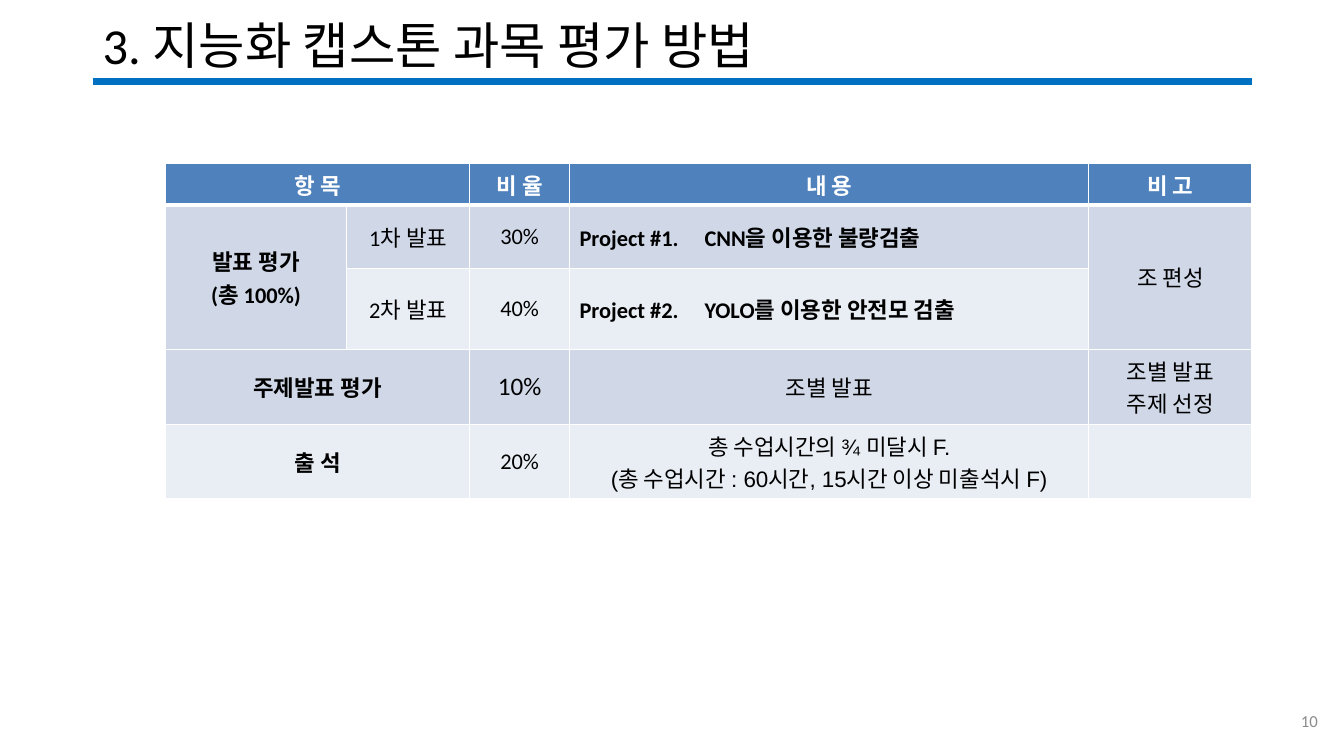
from dataclasses import dataclass

from lxml import etree
from pptx import Presentation
from pptx.dml.color import RGBColor
from pptx.enum import shapes, text
from pptx.oxml import ns
from pptx.util import Emu, Inches, Pt


@dataclass(frozen=True)
class Theme:
    """Colours, fonts and type sizes of the slide."""

    rule: str = "0070C0"
    header: str = "4F81BD"
    dark_band: str = "D0D8E8"
    light_band: str = "E9EDF4"
    white: str = "FFFFFF"
    ink: str = "000000"
    muted: str = "8C8C8C"
    font: str = "Calibri"
    note_font: str = "Arial"
    title_size: int = 36
    body_size: int = 16
    large_size: int = 18
    number_size: int = 12


THEME = Theme()
WIDTH, HEIGHT = Inches(13.33), Inches(7.5)
COLUMNS = (13.5, 9.15, 7.43, 38.63, 12.15)
ROWS = (5.47, 8.4, 10.8, 9.87, 9.87)
BANDS = (THEME.header, THEME.dark_band, THEME.light_band, THEME.dark_band, THEME.light_band)
CONTENT = (
    ("항 목", "", "비 율", "내 용", "비 고"),
    ("발표 평가\n(총 100%)", "1차 발표", "30%", "Project #1.\tCNN을 이용한 불량검출", "조 편성"),
    ("", "2차 발표", "40%", "Project #2.\tYOLO를 이용한 안전모 검출", ""),
    ("주제발표 평가", "", "10%", "조별 발표", "조별 발표\n주제 선정"),
    ("출 석", "", "20%", "총 수업시간의 ¾ 미달시 F.\n(총 수업시간 : 60시간, 15시간 이상 미출석시 F)", ""),
)
MERGES = (((0, 0), (0, 1)), ((1, 0), (2, 0)), ((1, 4), (2, 4)), ((3, 0), (3, 1)), ((4, 0), (4, 1)))
PROJECT_CELLS = ((1, 3), (2, 3))


def across(percent):
    """Return a share of the slide width."""
    return Emu(round(WIDTH * percent / 100))


def down(percent):
    """Return a share of the slide height."""
    return Emu(round(HEIGHT * percent / 100))


def write(text_frame, words, size, color, align, bold=False, font=THEME.font):
    """Fill a text frame and format its runs."""
    text_frame.text = words
    for paragraph in text_frame.paragraphs:
        paragraph.alignment = align
        for run in paragraph.runs:
            run.font.name = font
            run.font.size = Pt(size)
            run.font.bold = bold
            run.font.color.rgb = RGBColor.from_string(color)


def add_text(slide, box, words, size, color, align):
    """Add a wrapped, vertically centred text box."""
    left, top, width, height = box
    shape = slide.shapes.add_textbox(across(left), down(top), across(width), down(height))
    text_frame = shape.text_frame
    text_frame.word_wrap = True
    text_frame.vertical_anchor = text.MSO_ANCHOR.MIDDLE
    write(text_frame, words, size, color, align)
    return text_frame


def add_rule(slide, left, right, top):
    """Add the thick line under the title."""
    rule = slide.shapes.add_connector(
        shapes.MSO_CONNECTOR.STRAIGHT, across(left), down(top), across(right), down(top)
    )
    rule.line.color.rgb = RGBColor.from_string(THEME.rule)
    rule.line.width = Pt(5)
    etree.SubElement(rule._element.spPr, ns.qn("a:effectLst"))


def set_borders(cell, top_width, bottom_width):
    """Draw white borders around a cell."""
    properties = cell._tc.get_or_add_tcPr()
    for side, width in zip("LRTB", (1, 1, top_width, bottom_width)):
        line = etree.SubElement(properties, ns.qn(f"a:ln{side}"), w=str(Pt(width)))
        fill = etree.SubElement(line, ns.qn("a:solidFill"))
        etree.SubElement(fill, ns.qn("a:srgbClr"), val=THEME.white)


def add_tab_stop(paragraph, position):
    """Add a left tab stop to a paragraph."""
    properties = paragraph._p.get_or_add_pPr()
    stops = etree.SubElement(properties, ns.qn("a:tabLst"))
    etree.SubElement(stops, ns.qn("a:tab"), pos=str(position), algn="l")


def style_cell(cell, row, column, words):
    """Write and style one cell by its place in the table."""
    set_borders(cell, 3 if row == 1 else 1, 3 if row == 0 else 1)
    cell.fill.solid()
    cell.fill.fore_color.rgb = RGBColor.from_string(BANDS[row])
    cell.vertical_anchor = text.MSO_ANCHOR.MIDDLE
    is_project = (row, column) in PROJECT_CELLS
    write(
        cell.text_frame,
        words,
        THEME.large_size if (row, column) == (3, 2) else THEME.body_size,
        THEME.white if row == 0 else THEME.ink,
        text.PP_ALIGN.LEFT if is_project else text.PP_ALIGN.CENTER,
        bold=row == 0 or column == 0 or is_project,
        font=THEME.note_font if (row, column) == (4, 3) else THEME.font,
    )
    if is_project:
        add_tab_stop(cell.text_frame.paragraphs[0], across(9.3))


def add_grading_table(slide, left, top):
    """Add the table of grading items."""
    table = slide.shapes.add_table(
        len(ROWS), len(COLUMNS), across(left), down(top), across(sum(COLUMNS)), down(sum(ROWS))
    ).table
    for column, share in zip(table.columns, COLUMNS):
        column.width = across(share)
    for row, share in zip(table.rows, ROWS):
        row.height = down(share)
    for row, line in enumerate(CONTENT):
        for column, words in enumerate(line):
            style_cell(table.cell(row, column), row, column, words)
    for first, last in MERGES:
        table.cell(*first).merge(table.cell(*last))


def main():
    """Build and save the slide."""
    presentation = Presentation()
    presentation.slide_width, presentation.slide_height = WIDTH, HEIGHT
    slide = presentation.slides.add_slide(presentation.slide_layouts[6])
    add_rule(slide, 6.9, 93.15, 10.8)
    title = add_text(
        slide, (6.9, 1.87, 86.25, 9.07), "3. 지능화 캡스톤 과목 평가 방법",
        THEME.title_size, THEME.ink, text.PP_ALIGN.LEFT,
    )
    title.paragraphs[0].line_spacing = 0.9
    add_text(
        slide, (76.3, 92.67, 22.5, 5.33), "10",
        THEME.number_size, THEME.muted, text.PP_ALIGN.RIGHT,
    )
    add_grading_table(slide, 12.3, 21.6)
    presentation.save("out.pptx")


if __name__ == "__main__":
    main()
